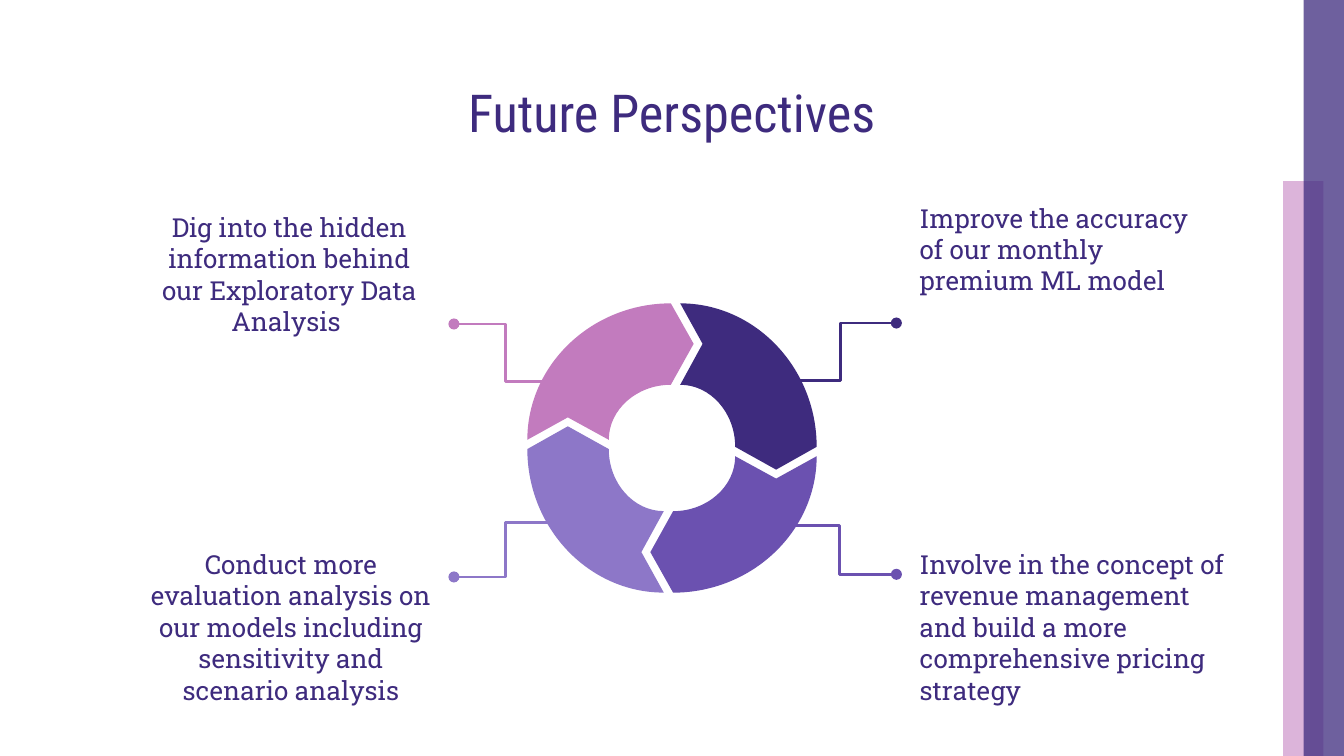
from lxml import etree
from pptx import Presentation
from pptx.dml.color import RGBColor
from pptx.enum import shapes as sh, text as tx
from pptx.oxml import ns
from pptx.util import Pt

DARK = RGBColor(0x3E, 0x2B, 0x7E)
PINK = RGBColor(0xC2, 0x7B, 0xBE)
MID = RGBColor(0x6B, 0x51, 0xB0)
LIGHT = RGBColor(0x8D, 0x77, 0xC8)

WIDE, HIGH = 720, 405


def add_run(para, words, size, font):
    """Add one dark run to a paragraph."""
    run = para.add_run()
    run.text = words
    run.font.size = Pt(size)
    run.font.name = font
    run.font.color.rgb = DARK


def set_frame(frame, anchor):
    """Give a text frame wrapping, even insets and an anchor."""
    frame.word_wrap = True
    frame.auto_size = tx.MSO_AUTO_SIZE.NONE
    frame.vertical_anchor = anchor
    frame.margin_left = frame.margin_right = Pt(7.2)
    frame.margin_top = frame.margin_bottom = Pt(7.2)


def add_bar(slide, box, color, alpha):
    """Draw one see-through side bar."""
    bar = slide.shapes.add_shape(sh.MSO_SHAPE.RECTANGLE, *map(Pt, box))
    bar.shadow.inherit = False
    bar.fill.solid()
    bar.fill.fore_color.rgb = color
    bar.line.fill.background()
    tint = bar._element.spPr.find(".//" + ns.qn("a:srgbClr"))
    etree.SubElement(tint, ns.qn("a:alpha"), val=str(alpha * 1000))


def add_title(slide, box, words):
    """Place and format the title."""
    title = slide.shapes.title
    title.left, title.top, title.width, title.height = map(Pt, box)
    set_frame(title.text_frame, tx.MSO_ANCHOR.MIDDLE)
    para = title.text_frame.paragraphs[0]
    para.alignment = tx.PP_ALIGN.CENTER
    add_run(para, words, 28, "Roboto Condensed")


def add_note(slide, box, words, align, indent):
    """Write one note beside the ring."""
    frame = slide.shapes.add_textbox(*map(Pt, box)).text_frame
    set_frame(frame, tx.MSO_ANCHOR.TOP)
    para = frame.paragraphs[0]
    para.alignment = align
    para.space_after = Pt(16)
    para._p.get_or_add_pPr().set("marL", str(Pt(indent)))
    add_run(para, words, 14, "Roboto Slab")


def arc(rad, gap, slip):
    """List the four Bezier points of a quarter arc, clockwise from the top."""
    bend = 0.55
    return [(gap, -rad), (gap + bend * (rad - gap), -rad),
            (rad, -slip - bend * (rad - slip)), (rad, -slip)]


def bend_lines(part, starts):
    """Turn each three lines from the given places into one curve."""
    lines = list(part._element.iter(ns.qn("a:lnTo")))
    for start in starts:
        trio = lines[start:start + 3]
        curve = etree.Element(ns.qn("a:cubicBezTo"))
        trio[0].addprevious(curve)
        for line in trio:
            curve.append(line[0])
            line.getparent().remove(line)


def add_ring(slide, box, colors):
    """Draw four arrow segments, each a quarter turn from the last."""
    left, top, size = box
    rad = size / 2
    inner, outer = arc(rad * 0.437, 4.4, 0.6), arc(rad, 4.4, 0.6)
    pts = [(16.4, -55.8), *inner, (55.8, 11.6), *outer[::-1]]
    for color in colors:
        spots = [(Pt(left + rad + x), Pt(top + rad + y)) for x, y in pts]
        pen = slide.shapes.build_freeform(*spots[0], scale=1.0)
        pen.add_line_segments(spots[1:], close=True)
        part = pen.convert_to_shape()
        bend_lines(part, (1, 6))
        part.shadow.inherit = False
        part.fill.solid()
        part.fill.fore_color.rgb = color
        part.line.fill.background()
        pts = [(-y, x) for x, y in pts]


def add_link(slide, ends, color):
    """Draw an elbow line from the ring to a dot."""
    link = slide.shapes.add_connector(sh.MSO_CONNECTOR.ELBOW, *map(Pt, ends))
    link.line.color.rgb = color
    link.line.width = Pt(1.5)
    line = link.line._get_or_add_ln()
    etree.SubElement(line, ns.qn("a:tailEnd"), type="oval")
    etree.SubElement(link._element.spPr, ns.qn("a:effectLst"))


def main():
    """Build and save the slide."""
    deck = Presentation()
    deck.slide_width, deck.slide_height = Pt(WIDE), Pt(HIGH)
    slide = deck.slides.add_slide(deck.slide_layouts[5])
    add_bar(slide, (687.4, 97, 21.6, HIGH - 97), PINK, 56)
    add_bar(slide, (698.4, 0, 21.6, HIGH), DARK, 75)
    add_title(slide, (154.6, 33.4, 410.4, 53.3), "Future Perspectives")

    mid, left = tx.PP_ALIGN.CENTER, tx.PP_ALIGN.LEFT
    notes = [
        ((0.5, 106, 237, 85), "Dig into the hidden information behind "
         "our Exploratory Data Analysis ", mid, 72),
        ((37.4, 286.6, 201, 95), "Conduct more evaluation analysis on our "
         "models including sensitivity and scenario analysis", mid, 36),
        ((485.6, 101, 168.5, 95), "Improve the accuracy of our monthly "
         "premium ML model", left, 0),
        ((485.6, 286.6, 183, 95), "Involve in the concept of revenue "
         "management and build a more comprehensive pricing strategy",
         left, 0),
    ]
    for note in notes:
        add_note(slide, *note)

    add_ring(slide, (282.5, 162.5, 155), (DARK, MID, LIGHT, PINK))
    links = [
        ((298.8, 204.3, 243.2, 173.6), PINK),
        ((419.4, 281.4, 480.2, 307.7), MID),
        ((420, 203.7, 480.2, 173.1), DARK),
        ((298.8, 279.8, 243.2, 309.1), LIGHT),
    ]
    for ends, color in links:
        add_link(slide, ends, color)
    deck.save("out.pptx")


if __name__ == "__main__":
    main()
